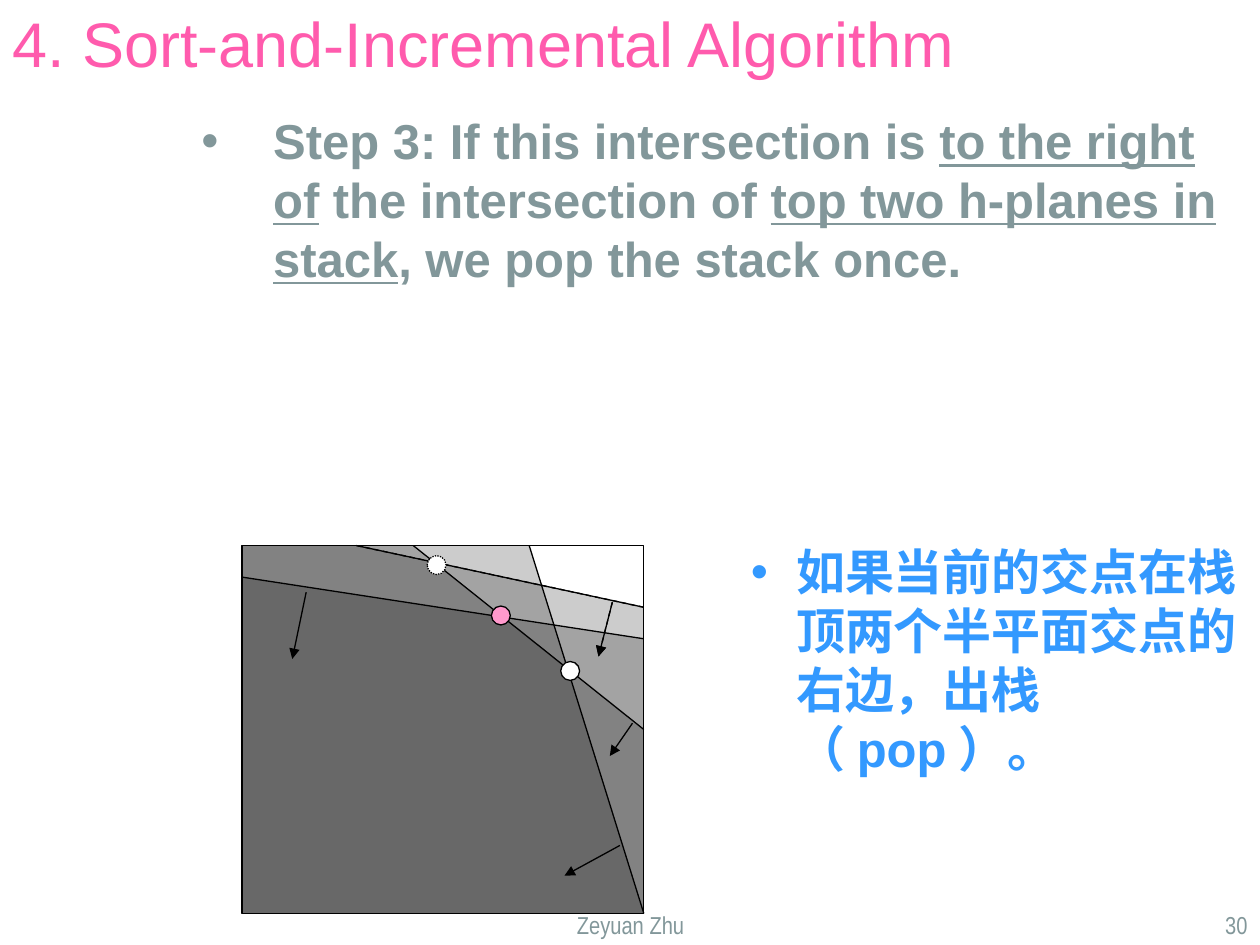
from lxml.etree import SubElement
from pptx import Presentation
from pptx.dml.color import RGBColor
from pptx.enum.dml import MSO_LINE
from pptx.enum.shapes import MSO_CONNECTOR, MSO_SHAPE
from pptx.enum.text import MSO_ANCHOR, PP_ALIGN
from pptx.oxml.ns import qn
from pptx.util import Inches, Pt

PINK = RGBColor(0xFF, 0x5B, 0xAD)
GRAY = RGBColor(0x82, 0x97, 0x9A)
BLUE = RGBColor(0x33, 0x99, 0xFF)
ROSE = RGBColor(0xFF, 0x99, 0xCC)
BLACK = RGBColor(0, 0, 0)
WHITE = RGBColor(0xFF, 0xFF, 0xFF)

# Sides of the plot that holds the half-planes
LEFT, TOP, RIGHT, BOTTOM = 1.92, 4.33, 5.11, 7.25


class SlideBuilder:
    line_width = Pt(0.75)
    shade_opacity = 20
    dot_size = 0.15

    def __init__(self, page):
        self.page = page

    def text(self, place, spans, size, color, font="Arial", bold=False,
             align=PP_ALIGN.LEFT, anchor=MSO_ANCHOR.TOP):
        """Add a one-paragraph box; spans are (wording, underlined) pairs."""
        box = self.page.shapes.add_textbox(*map(Inches, place))
        frame = box.text_frame
        frame.word_wrap = True
        frame.vertical_anchor = anchor
        para = frame.paragraphs[0]
        para.alignment = align
        for wording, underlined in spans:
            span = para.add_run()
            span.text = wording
            span.font.name = font
            span.font.size = Pt(size)
            span.font.bold = bold
            span.font.underline = underlined
            span.font.color.rgb = color
        return para

    def bullet(self, place, spans, color, margin, hanging):
        para = self.text(place, spans, 28, color, bold=True)
        para.space_before = Pt(7)
        para.line_spacing = Pt(33.7)
        properties = para._p.get_or_add_pPr()
        properties.set("marL", str(Inches(margin)))
        properties.set("indent", str(-Inches(hanging)))
        bullet_color = SubElement(properties, qn("a:buClr"))
        SubElement(bullet_color, qn("a:srgbClr"), val=str(color))
        SubElement(properties, qn("a:buFont"), typeface="Arial")
        SubElement(properties, qn("a:buChar"), char="•")

    def half_plane(self, corners):
        points = [(Inches(x), Inches(y)) for x, y in corners]
        outline = self.page.shapes.build_freeform(*points[0])
        outline.add_line_segments(points[1:], close=True)
        shape = outline.convert_to_shape()
        shape.shadow.inherit = False
        shape.fill.solid()
        shape.fill.fore_color.rgb = BLACK
        shape.line.fill.background()
        tint = shape.fill._xPr.find(qn("a:solidFill"))[0]
        SubElement(tint, qn("a:alpha"), val=str(self.shade_opacity * 1000))

    def line(self, start, end, dash=None, arrow=False):
        line = self.page.shapes.add_connector(
            MSO_CONNECTOR.STRAIGHT, *map(Inches, start + end))
        self.stroke(line, dash)
        if arrow:
            SubElement(line.line._get_or_add_ln(), qn("a:tailEnd"), type="triangle")
        SubElement(line._element.spPr, qn("a:effectLst"))

    def shape(self, kind, place, fill=None, dash=None):
        shape = self.page.shapes.add_shape(kind, *map(Inches, place))
        shape.shadow.inherit = False
        if fill is None:
            shape.fill.background()
        else:
            shape.fill.solid()
            shape.fill.fore_color.rgb = fill
        self.stroke(shape, dash)

    def dot(self, left, top, fill, dash=None):
        self.shape(MSO_SHAPE.OVAL, (left, top, self.dot_size, self.dot_size), fill, dash)

    def stroke(self, item, dash):
        item.line.color.rgb = BLACK
        item.line.width = self.line_width
        if dash:
            item.line.dash_style = dash


def main():
    deck = Presentation()
    deck.slide_width, deck.slide_height = Inches(10), Inches(7.5)
    builder = SlideBuilder(deck.slides.add_slide(deck.slide_layouts[6]))

    # Title and the two explanations
    builder.text((0, 0, 8.17, 0.67), [("4. Sort-and-Incremental Algorithm", False)],
                 36, PINK, anchor=MSO_ANCHOR.MIDDLE)
    builder.bullet((5.75, 4.25, 4.25, 3.25),
                   [("如果当前的交点在栈顶两个半平面交点的右边，出栈（pop）。", False)],
                   BLUE, 0.47, 0.36)
    builder.bullet((1.5, 0.83, 8.5, 2.75), [
        ("Step 3: If this intersection is ", False),
        ("to the right of", True),
        (" the intersection of ", False),
        ("top two h-planes in stack", True),
        (", we pop the stack once.", False),
    ], GRAY, 0.57, 0.57)

    # Half-planes: boundary start and end, then the arrow to the inner side
    top_left, bottom_left, bottom_right = (LEFT, TOP), (LEFT, BOTTOM), (RIGHT, BOTTOM)
    half_planes = [
        ((3.28, TOP), (RIGHT, 5.79), (5.02, 5.74), (4.84, 6)),
        ((4.2, TOP), bottom_right, (4.92, 6.71), (4.48, 6.95)),
        ((2.83, TOP), (RIGHT, 4.82), (4.86, 4.78), (4.75, 5.21)),
        ((LEFT, 4.58), (RIGHT, 5.07), (2.43, 4.7), (2.32, 5.23)),
    ]
    for start, end, arrow_start, arrow_end in half_planes:
        corners = [bottom_left, top_left, start, end, bottom_right]
        if start[0] == LEFT:
            corners.remove(top_left)
        if end == bottom_right:
            corners.pop()
        builder.half_plane(corners)
        builder.line(start, end)
        builder.line(arrow_start, arrow_end, arrow=True)
    builder.shape(MSO_SHAPE.RECTANGLE, (LEFT, TOP, RIGHT - LEFT, BOTTOM - TOP))

    # Popped half-plane, dashed
    start, end, arrow_start, arrow_end = half_planes[2]
    builder.line(start, end, MSO_LINE.DASH)
    builder.line(arrow_start, arrow_end, MSO_LINE.DASH, arrow=True)

    # Intersections: current, popped and kept
    builder.dot(3.9, 4.81, ROSE)
    builder.dot(3.39, 4.41, WHITE, MSO_LINE.ROUND_DOT)
    builder.dot(4.45, 5.25, WHITE)

    # Footer
    for place, wording, align in [
        ((3.42, 7.17, 3.17, 0.33), "Zeyuan Zhu", PP_ALIGN.CENTER),
        ((7.92, 7.17, 2.08, 0.33), "30", PP_ALIGN.RIGHT),
    ]:
        builder.text(place, [(wording, False)], 14, GRAY, "Arial Narrow", align=align)

    deck.save("out.pptx")


if __name__ == "__main__":
    main()
